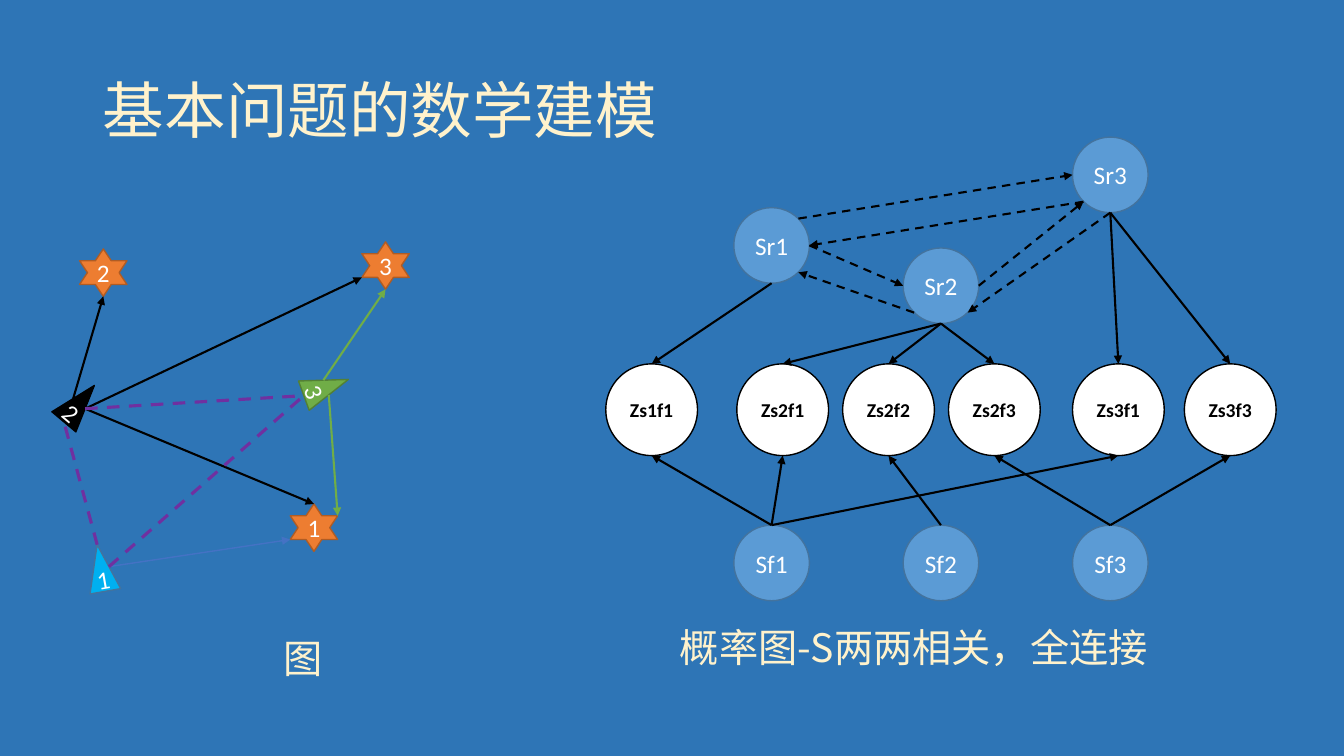
from math import cos, radians, sin

from lxml import etree
from pptx import Presentation
from pptx.dml.color import RGBColor
from pptx.enum.dml import MSO_LINE
from pptx.enum.shapes import MSO_CONNECTOR, MSO_SHAPE
from pptx.enum.text import MSO_ANCHOR, MSO_AUTO_SIZE, PP_ALIGN
from pptx.oxml.ns import qn
from pptx.util import Inches, Pt

STRAIGHT, DASH = MSO_CONNECTOR.STRAIGHT, MSO_LINE.DASH
CIRCLE, STAR, TRIANGLE = MSO_SHAPE.OVAL, MSO_SHAPE.STAR_6_POINT, MSO_SHAPE.ISOSCELES_TRIANGLE
MIDDLE, ANCHOR_TOP = MSO_ANCHOR.MIDDLE, MSO_ANCHOR.TOP
CENTER, ALIGN_LEFT = PP_ALIGN.CENTER, PP_ALIGN.LEFT
NO_AUTOFIT = MSO_AUTO_SIZE.NONE

BACKGROUND = RGBColor(0x2E, 0x75, 0xB6)
CREAM = RGBColor(0xFF, 0xF2, 0xCC)
WHITE = RGBColor(0xFF, 0xFF, 0xFF)
BLACK = RGBColor(0x00, 0x00, 0x00)
CYAN = RGBColor(0x00, 0xB0, 0xF0)
GREEN = RGBColor(0x70, 0xAD, 0x47)
DARK_GREEN = RGBColor(0x53, 0x80, 0x35)
ORANGE = RGBColor(0xED, 0x7D, 0x31)
DARK_ORANGE = RGBColor(0xAF, 0x5C, 0x24)
SKY = RGBColor(0x5B, 0x9B, 0xD5)
STEEL = RGBColor(0x43, 0x73, 0x9E)
BLUE = RGBColor(0x44, 0x72, 0xC4)
PURPLE = RGBColor(0x70, 0x30, 0xA0)

LATIN_FONT, CJK_FONT = "Calibri", "Noto Sans CJK SC"

# The slide is a grid of 80 columns by 45 rows of square cells
WIDTH, HEIGHT = Inches(40 / 3), Inches(7.5)
COLUMN, ROW = WIDTH / 80, HEIGHT / 45

# Points on a node, as shares of half its width and height from its centre
DIAGONAL = 0.71
TOP, BOTTOM, LEFT, RIGHT = (0, -1), (0, 1), (-1, 0), (1, 0)
UPPER_RIGHT = (DIAGONAL, -DIAGONAL)
LOWER_LEFT, LOWER_RIGHT = (-DIAGONAL, DIAGONAL), (DIAGONAL, DIAGONAL)
LEFT_EDGE, RIGHT_EDGE = (-0.5, 0), (0.5, 0)
STAR_LOWER_LEFT, STAR_UPPER_RIGHT = (-1, 0.5), (1, -0.5)


def fill_placeholder(placeholder, text, box, size, align, anchor):
    column, row, columns, rows = box
    placeholder.left, placeholder.top = round(column * COLUMN), round(row * ROW)
    placeholder.width, placeholder.height = round(columns * COLUMN), round(rows * ROW)
    frame = placeholder.text_frame
    frame.text = text
    frame.word_wrap = True
    frame.auto_size = NO_AUTOFIT
    frame.vertical_anchor = anchor
    paragraph = frame.paragraphs[0]
    paragraph.alignment = align
    paragraph.line_spacing = 0.9
    font = paragraph.font
    font.name, font.size = CJK_FONT, Pt(size)
    font.color.rgb = CREAM
    east_asian = etree.SubElement(font._element, qn("a:ea"))
    east_asian.set("typeface", CJK_FONT)
    return paragraph


def fill_caption(placeholder, text, box):
    paragraph = fill_placeholder(placeholder, text, box, 28, CENTER, ANCHOR_TOP)
    paragraph.space_before = Pt(10)
    properties = paragraph._p.get_or_add_pPr()
    properties.set("marL", "0")
    properties.set("indent", "0")
    no_bullet = etree.Element(qn("a:buNone"))
    properties.find(qn("a:defRPr")).addprevious(no_bullet)


def add_node(slide, kind, text, centre, size, fill, outline,
             rotation=0, text_color=WHITE, text_size=18, bold=False):
    (column, row), (columns, rows) = centre, size
    node = slide.shapes.add_shape(
        kind, round((column - columns / 2) * COLUMN), round((row - rows / 2) * ROW),
        round(columns * COLUMN), round(rows * ROW))
    node.rotation = rotation
    node.shadow.inherit = False
    node.fill.solid()
    node.fill.fore_color.rgb = fill
    node.line.color.rgb = outline
    node.line.width = Pt(1)
    frame = node.text_frame
    frame.text = text
    frame.word_wrap = False
    frame.vertical_anchor = MIDDLE
    frame.margin_left = frame.margin_right = frame.margin_top = frame.margin_bottom = 0
    paragraph = frame.paragraphs[0]
    paragraph.alignment = CENTER
    font = paragraph.font
    font.name, font.size, font.bold = LATIN_FONT, Pt(text_size), bold
    font.color.rgb = text_color
    return node


def point_on(node, site):
    """Slide position of a site, following the node's rotation."""
    x, y = site[0] * node.width / 2, site[1] * node.height / 2
    angle = radians(node.rotation)
    return (round(node.left + node.width / 2 + x * cos(angle) - y * sin(angle)),
            round(node.top + node.height / 2 + x * sin(angle) + y * cos(angle)))


def link(slide, start, start_site, end, end_site,
         color=BLACK, weight=1.5, dashed=False, arrow=True):
    line = slide.shapes.add_connector(
        STRAIGHT, *point_on(start, start_site), *point_on(end, end_site))
    line.line.color.rgb = color
    line.line.width = Pt(weight)
    if dashed:
        line.line.dash_style = DASH
    if arrow:
        etree.SubElement(line.line._get_or_add_ln(), qn("a:tailEnd")).set("type", "triangle")
    etree.SubElement(line._element.spPr, qn("a:effectLst"))


def draw_graph(slide):
    # Robots (triangles) and features (stars)
    robots = {
        name: add_node(slide, TRIANGLE, name, centre, (1.86, 2.82), fill, outline, rotation)
        for name, centre, fill, outline, rotation in (
            ("1", (6.03, 33.81), CYAN, STEEL, 350),
            ("2", (4.71, 24.03), BLACK, BLACK, 40),
            ("3", (19.41, 23.07), GREEN, DARK_GREEN, 70))}
    features = {
        name: add_node(slide, STAR, name, centre, (2.82, 2.82), ORANGE, DARK_ORANGE)
        for name, centre in (
            ("1", (18.69, 31.41)), ("2", (6.15, 16.23)), ("3", (22.95, 15.81)))}

    # Sightings of features
    for robot, start, feature, end, color, weight in (
            ("1", RIGHT_EDGE, "1", STAR_LOWER_LEFT, BLUE, 1),
            ("2", RIGHT_EDGE, "1", TOP, BLACK, 1.5),
            ("2", LEFT_EDGE, "2", BOTTOM, BLACK, 1.5),
            ("3", RIGHT_EDGE, "1", STAR_UPPER_RIGHT, GREEN, 1.5),
            ("3", LEFT_EDGE, "3", BOTTOM, GREEN, 1.5),
            ("2", RIGHT_EDGE, "3", STAR_LOWER_LEFT, BLACK, 1.5)):
        link(slide, robots[robot], start, features[feature], end, color, weight)

    # Relations between robots
    for first, start, second, end in (
            ("1", TOP, "2", BOTTOM),
            ("2", RIGHT_EDGE, "3", BOTTOM),
            ("1", RIGHT_EDGE, "3", BOTTOM)):
        link(slide, robots[first], start, robots[second], end, PURPLE, 2.25,
             dashed=True, arrow=False)


def draw_probability_graph(slide):
    # States: Sr above, Sf below, in three even columns
    state_rows = {"Sr": (14.61, 17.01, 10.41), "Sf": (33.51, 33.51, 33.51)}
    states = {
        f"{kind}{i + 1}": add_node(slide, CIRCLE, f"{kind}{i + 1}",
                                   (45.93 + 10.08 * i, row), (4.5, 4.5), SKY, STEEL)
        for kind, rows in state_rows.items() for i, row in enumerate(rows)}

    # Each observation Zs<i>f<j> depends on Sr<i> and Sf<j>
    for i, j, column in ((1, 1, 38.79), (2, 1, 46.59), (2, 2, 52.89),
                         (2, 3, 59.19), (3, 1, 66.57), (3, 3, 73.23)):
        observation = add_node(slide, CIRCLE, f"Zs{i}f{j}", (column, 24.39), (5.46, 5.46),
                               WHITE, BLACK, text_color=BLACK, text_size=14, bold=True)
        link(slide, states[f"Sr{i}"], BOTTOM, observation, TOP)
        link(slide, states[f"Sf{j}"], TOP, observation, BOTTOM)

    # Pairwise relations between the Sr states
    for first, start, second, end in (
            ("Sr1", RIGHT, "Sr2", LEFT),
            ("Sr2", RIGHT, "Sr3", LOWER_LEFT),
            ("Sr3", LOWER_LEFT, "Sr1", RIGHT),
            ("Sr1", UPPER_RIGHT, "Sr3", LEFT),
            ("Sr2", LOWER_LEFT, "Sr1", LOWER_RIGHT),
            ("Sr3", BOTTOM, "Sr2", LOWER_RIGHT)):
        link(slide, states[first], start, states[second], end, dashed=True)


def main():
    deck = Presentation()
    deck.slide_width, deck.slide_height = WIDTH, HEIGHT
    slide = deck.slides.add_slide(deck.slide_layouts.get_by_name("Two Content"))
    slide.background.fill.solid()
    slide.background.fill.fore_color.rgb = BACKGROUND

    # Title and captions
    title, graph_caption, probability_caption = slide.placeholders
    fill_placeholder(title, "基本问题的数学建模", (5.52, 2.4, 69, 8.7), 44, ALIGN_LEFT, MIDDLE)
    fill_caption(graph_caption, "图", (4.56, 37.8, 26.94, 5.04))
    fill_caption(probability_caption, "概率图-S两两相关，全连接", (36.42, 37.14, 35.94, 7.2))

    draw_graph(slide)
    draw_probability_graph(slide)
    deck.save("out.pptx")


if __name__ == "__main__":
    main()
